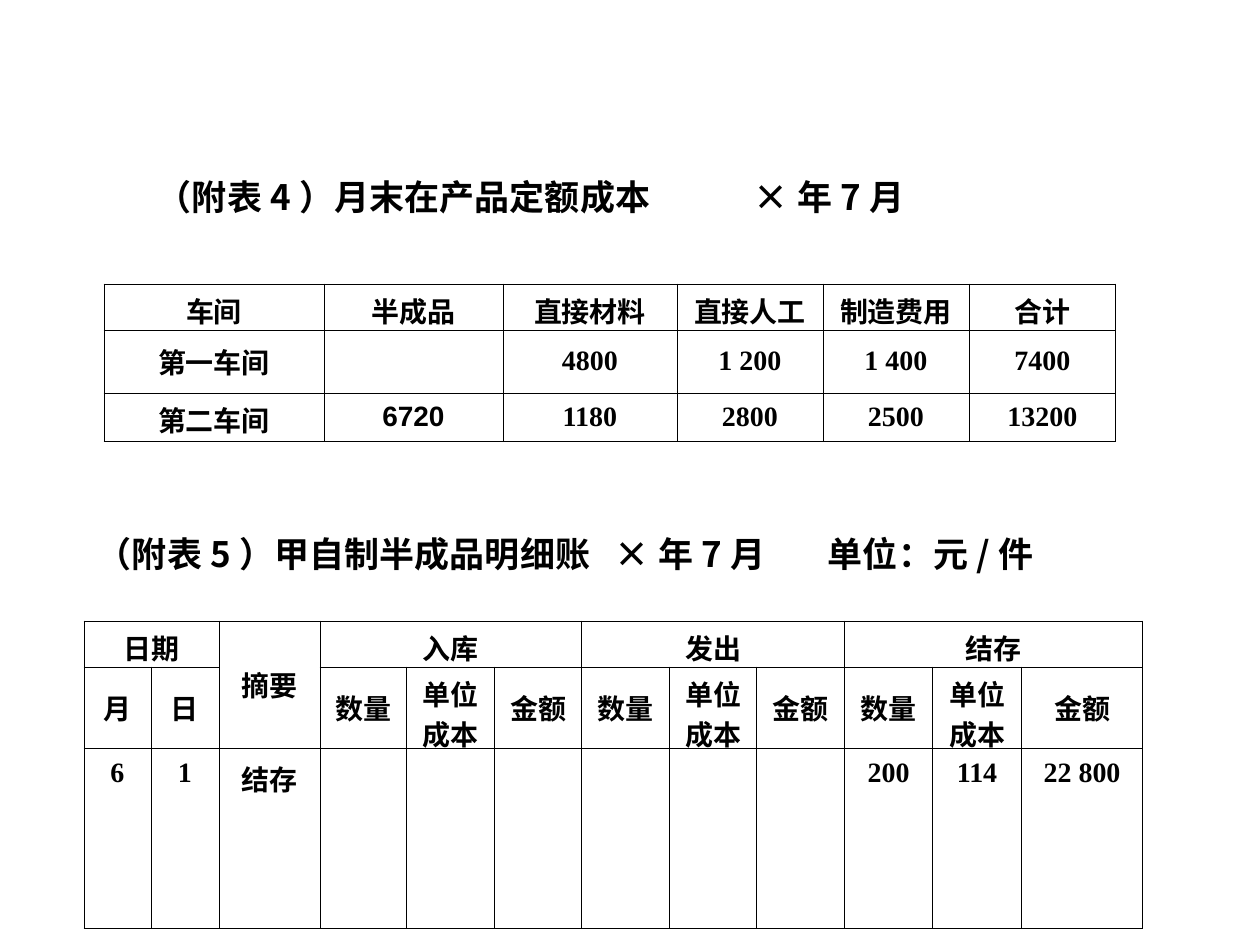
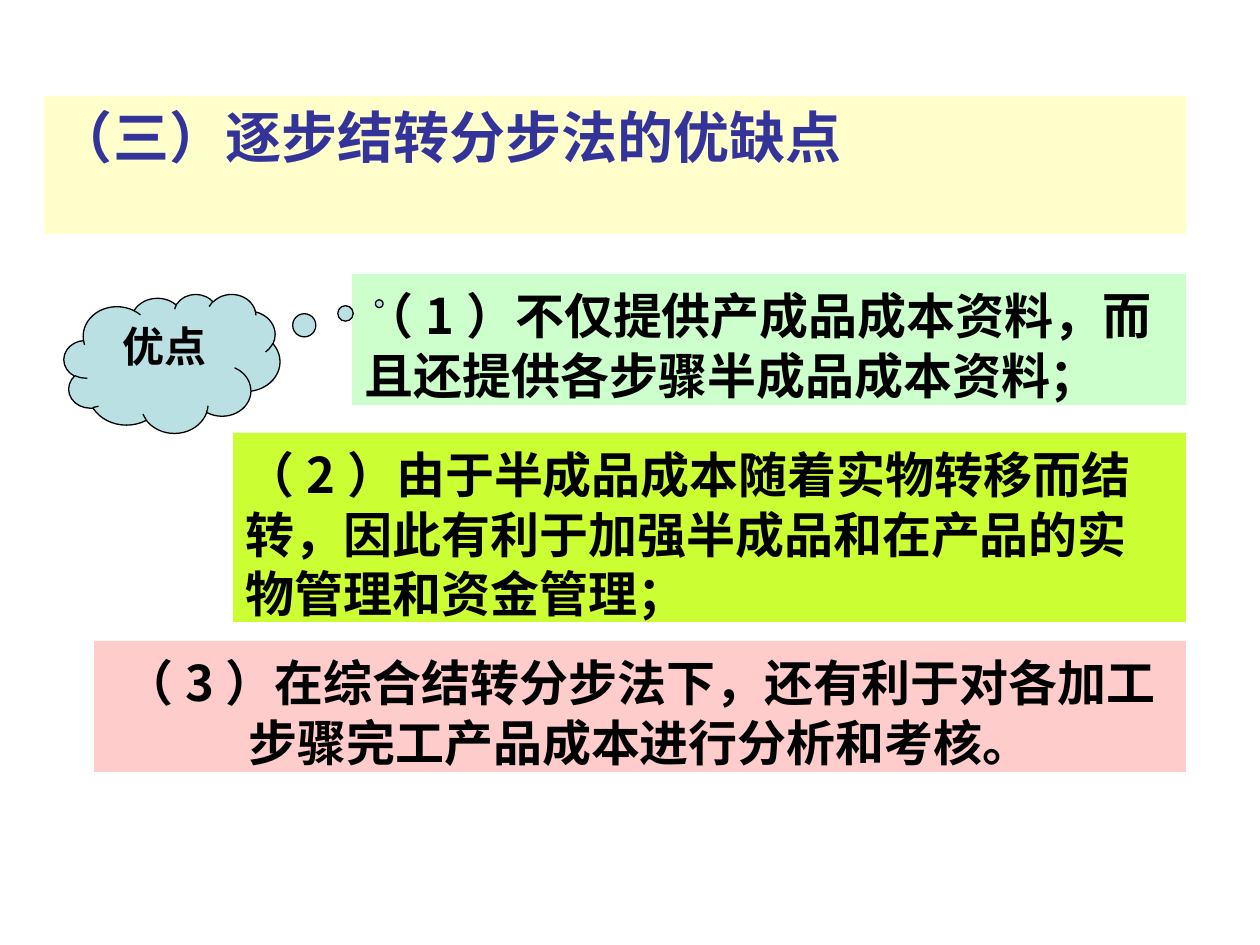
import pptx
import pptx.dml.color
import pptx.enum.shapes
import pptx.enum.text
import pptx.oxml
import pptx.oxml.ns
import pptx.util

RGB = pptx.dml.color.RGBColor
SHAPE = pptx.enum.shapes.MSO_SHAPE
ALIGN = pptx.enum.text.PP_ALIGN
ANCHOR = pptx.enum.text.MSO_ANCHOR

# Colours and fonts
BLACK = RGB(0x00, 0x00, 0x00)
NAVY = RGB(0x33, 0x33, 0x99)
CREAM = RGB(0xFF, 0xFF, 0xCC)
MINT = RGB(0xCC, 0xFF, 0xCC)
LIME = RGB(0xCC, 0xFF, 0x33)
PINK = RGB(0xFF, 0xCC, 0xCC)
PALE_BLUE = RGB(0xBB, 0xE0, 0xE3)
SANS, SERIF, ARIAL = "Noto Sans CJK SC", "Times New Roman", "Arial"

SCALE = 914400 // 126
LINE_RATIO = 1.2
SIDE_INSET, CELL_INSET, LEDGER_INSET = 13, 6, 10

# Headings: text, box, tab stops
HEADINGS = [
    ("（附表4）月末在产品定额成本\t×年7月", (144, 165, 932, 55), [597]),
    ("（附表5）甲自制半成品明细账\t×年7月\t单位：元/件", (84, 522, 1062, 55), [518, 731]),
]

# Work-in-progress cost table
COST_AT = (104, 284)
COST_WIDTHS = [220, 179, 174, 146, 146, 147]
COST_HEIGHTS = [46, 63, 48]
COST_ROWS = [
    ["车间", "半成品", "直接材料", "直接人工", "制造费用", "合计"],
    ["第一车间", "", "4800", "1 200", "1 400", "7400"],
    ["第二车间", "6720", "1180", "2800", "2500", "13200"],
]
COST_ARIAL = [(0, 0), (0, 1), (2, 1)]

# Semi-finished goods ledger
LEDGER_AT = (84, 621)
LEDGER_WIDTHS = [67, 68, 101, 87, 88, 87, 88, 87, 88, 88, 89, 121]
LEDGER_HEIGHTS = [46, 81, 180]
LEDGER_ROWS = [
    ["日期", "", "摘要", "入库", "", "", "发出", "", "", "结存", "", ""],
    ["月", "日", ""] + ["数量", "单位\n成本", "金额"] * 3,
    ["6", "1", "结存"] + [""] * 6 + ["200", "114", "22 800"],
]
LEDGER_MERGES = [((0, 0), (0, 1)), ((0, 2), (1, 2))] + [
    ((0, column), (0, column + 2)) for column in (3, 6, 9)]

# Panels: text, left, top, height, fill, alignment
PANEL_RIGHT = 1186
TITLE = "（三）逐步结转分步法的优缺点"
TITLE_PANEL = (44, 96, 138)
ADVANTAGES = [
    ("（1）不仅提供产成品成本资料，而且还提供各步骤半成品成本资料；",
     352, 274, 131, MINT, ALIGN.LEFT),
    ("（2）由于半成品成本随着实物转移而结转，因此有利于加强半成品和在产品的实物管理和资金管理；",
     233, 433, 189, LIME, ALIGN.LEFT),
    ("（3）在综合结转分步法下，还有利于对各加工步骤完工产品成本进行分析和考核。",
     94, 641, 131, PINK, ALIGN.CENTER),
]
CLOUD_TEXT, CLOUD_BOX, CLOUD_TAIL = "优点", (64, 294, 216, 139), (0.96, -0.43)


def px(*lengths):
    return [pptx.util.Emu(length * SCALE) for length in lengths]


def write(frame, text, size, font, colour=BLACK, align=ALIGN.LEFT, tight=False, tabs=()):
    """Fill a text frame; tight sets a fixed line height."""
    frame.word_wrap = True
    frame.text = text
    for para in frame.paragraphs:
        para.alignment = align
        if tight:
            para.line_spacing = pptx.util.Pt(round(size * LINE_RATIO))
        if tabs:
            stops = pptx.oxml.parse_xml(
                f"<a:tabLst {pptx.oxml.ns.nsdecls('a')}>"
                + "".join(f'<a:tab pos="{stop * SCALE}" algn="l"/>' for stop in tabs)
                + "</a:tabLst>")
            para._p.get_or_add_pPr().append(stops)
        for span in para.runs:
            span.font.size = pptx.util.Pt(size)
            span.font.bold = True
            span.font.name = font
            span.font.color.rgb = colour


def set_insets(frame, top):
    frame.margin_left, frame.margin_right, frame.margin_top = px(SIDE_INSET, SIDE_INSET, top)
    frame.vertical_anchor = ANCHOR.TOP


def add_panel(page, text, left, top, height, fill, size, font, inset, **style):
    panel = page.shapes.add_shape(
        SHAPE.RECTANGLE, *px(left, top, PANEL_RIGHT - left, height))
    panel.shadow.inherit = False
    panel.fill.solid()
    panel.fill.fore_color.rgb = fill
    panel.line.fill.background()
    set_insets(panel.text_frame, inset)
    write(panel.text_frame, text, size, font, tight=True, **style)


def add_borders(cell):
    for side in "LRTB":
        cell._tc.get_or_add_tcPr().append(pptx.oxml.parse_xml(
            f'<a:ln{side} {pptx.oxml.ns.nsdecls("a")} w="5715"><a:solidFill>'
            f'<a:srgbClr val="{BLACK}"/></a:solidFill></a:ln{side}>'))


def add_grid(page, at, widths, heights, rows, merges=(), arial=(), top_row=None):
    """Draw a ruled table; top_row is the row whose text sits at the top."""
    table = page.shapes.add_table(
        len(rows), len(widths), *px(*at, sum(widths), sum(heights))).table
    table.first_row = table.horz_banding = False
    for column, width in zip(table.columns, px(*widths)):
        column.width = width
    for row, height in zip(table.rows, px(*heights)):
        row.height = height
    for r, values in enumerate(rows):
        for c, value in enumerate(values):
            cell = table.cell(r, c)
            add_borders(cell)
            cell.fill.background()
            at_top = r == top_row
            cell.vertical_anchor = ANCHOR.TOP if at_top else ANCHOR.MIDDLE
            cell.margin_top, cell.margin_bottom = px(
                LEDGER_INSET if at_top else CELL_INSET, CELL_INSET)
            if value:
                write(cell.text_frame, value, 16, ARIAL if (r, c) in arial else SERIF,
                      align=ALIGN.CENTER)
    for first, last in merges:
        table.cell(*first).merge(table.cell(*last))


def build_tables(page):
    for text, box, tabs in HEADINGS:
        heading = page.shapes.add_textbox(*px(*box))
        set_insets(heading.text_frame, 10)
        write(heading.text_frame, text, 20, SANS, tight=True, tabs=tabs)
    add_grid(page, COST_AT, COST_WIDTHS, COST_HEIGHTS, COST_ROWS, arial=COST_ARIAL)
    add_grid(page, LEDGER_AT, LEDGER_WIDTHS, LEDGER_HEIGHTS, LEDGER_ROWS,
             merges=LEDGER_MERGES, top_row=2)


def build_advantages(page):
    add_panel(page, TITLE, *TITLE_PANEL, CREAM, 32, SERIF, 7, colour=NAVY)
    for text, left, top, height, fill, align in ADVANTAGES:
        add_panel(page, text, left, top, height, fill, 28, SANS, 11, align=align)
    # Thought cloud
    cloud = page.shapes.add_shape(SHAPE.CLOUD_CALLOUT, *px(*CLOUD_BOX))
    for index, offset in enumerate(CLOUD_TAIL):
        cloud.adjustments[index] = offset
    cloud.shadow.inherit = False
    cloud.fill.solid()
    cloud.fill.fore_color.rgb = PALE_BLUE
    cloud.line.color.rgb = BLACK
    cloud.line.width = pptx.util.Pt(0.75)
    set_insets(cloud.text_frame, CELL_INSET)
    write(cloud.text_frame, CLOUD_TEXT, 24, SERIF, align=ALIGN.CENTER)


def main():
    deck = pptx.Presentation()
    deck.slide_width, deck.slide_height = px(1260, 945)
    for build in (build_tables, build_advantages):
        build(deck.slides.add_slide(deck.slide_layouts[6]))
    deck.save("out.pptx")


if __name__ == "__main__":
    main()
